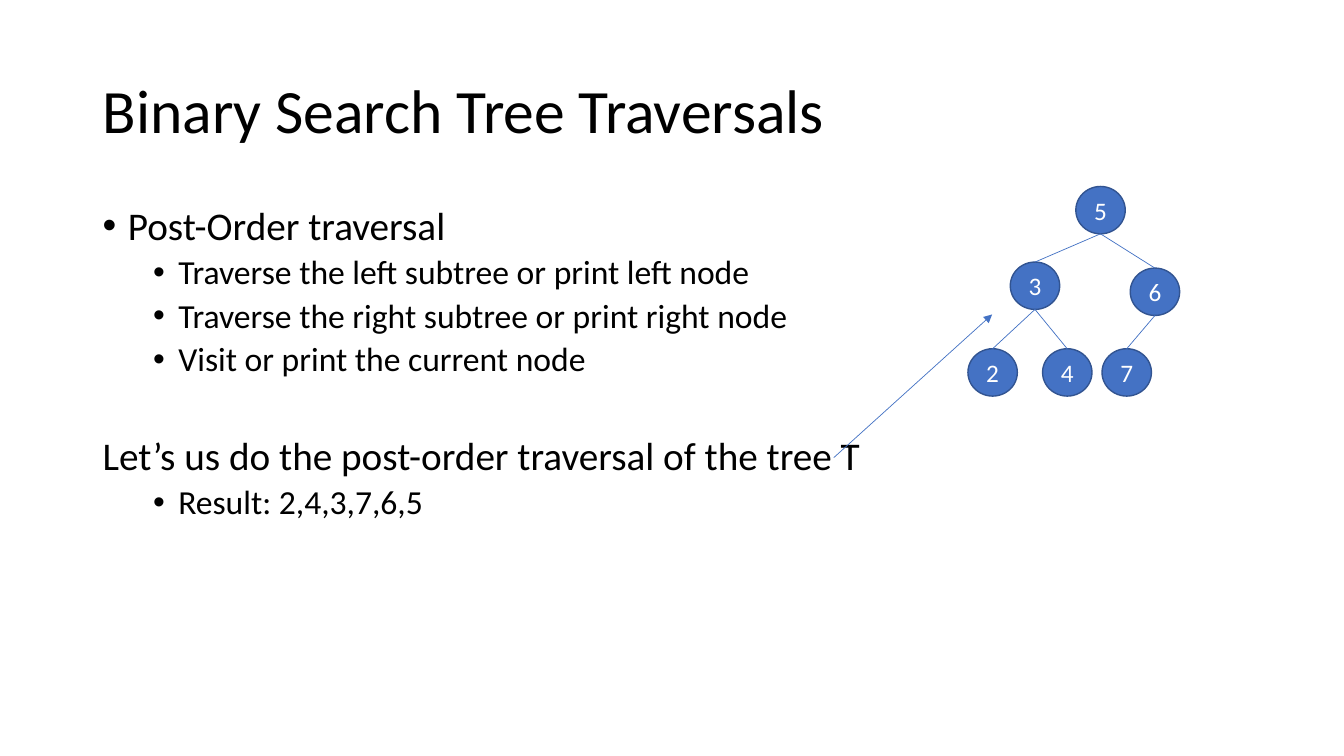
"""Build a slide on post-order traversal of a binary search tree."""
from dataclasses import dataclass
from typing import Optional

import lxml.etree
import pptx
import pptx.dml.color
import pptx.enum.shapes
import pptx.enum.text
import pptx.oxml.ns
import pptx.util

Inches = pptx.util.Inches
Pt = pptx.util.Pt
COLORS = {"text": "000000", "node": "4472C4", "outline": "325491", "label": "FFFFFF"}
FONT = "Calibri"
NODE_WIDTH, NODE_HEIGHT = 0.49, 0.47


@dataclass(frozen=True)
class TextLine:
    text: str
    size: float
    before: float = 0
    indent: float = 0
    bullet: bool = False


@dataclass(frozen=True)
class TreeNode:
    left: float
    top: float
    parent: Optional[int] = None


TITLE = [TextLine("Binary Search Tree Traversals", 44)]
BODY = [
    TextLine("Post-Order traversal", 28, 0, 0.25, True),
    TextLine("Traverse the left subtree or print left node", 24, 5, 0.75, True),
    TextLine("Traverse the right subtree or print right node", 24, 5, 0.75, True),
    TextLine("Visit or print the current node", 24, 5, 0.75, True),
    TextLine("Let’s us do the post-order traversal of the tree T", 28, 41.4),
    TextLine("Result: 2,4,3,7,6,5", 24, 5, 0.75, True),
]
TREE = {
    5: TreeNode(10.67, 1.85),
    3: TreeNode(10.02, 2.6, 5),
    6: TreeNode(11.21, 2.66, 5),
    2: TreeNode(9.6, 3.46, 3),
    4: TreeNode(10.34, 3.46, 3),
    7: TreeNode(10.93, 3.46, 6),
}


def rgb(name: str) -> pptx.dml.color.RGBColor:
    return pptx.dml.color.RGBColor.from_string(COLORS[name])


def add_run(paragraph, text: str, size: float, color: str) -> None:
    run = paragraph.add_run()
    run.text = text
    run.font.name = FONT
    run.font.size = Pt(size)
    run.font.color.rgb = rgb(color)


def add_text(slide, top: float, height: float, lines: list[TextLine], anchor) -> None:
    frame = slide.shapes.add_textbox(
        Inches(0.92), Inches(top), Inches(11.5), Inches(height)
    ).text_frame
    frame.word_wrap = True
    frame.vertical_anchor = anchor
    for index, line in enumerate(lines):
        paragraph = frame.add_paragraph() if index else frame.paragraphs[0]
        paragraph.line_spacing = 0.9
        if line.before:
            paragraph.space_before = Pt(line.before)
        if line.bullet:
            properties = paragraph._p.get_or_add_pPr()
            properties.set("marL", str(Inches(line.indent)))
            properties.set("indent", str(-Inches(0.25)))
            for tag, key, value in (("a:buFont", "typeface", "Arial"), ("a:buChar", "char", "•")):
                bullet = lxml.etree.SubElement(properties, pptx.oxml.ns.qn(tag))
                bullet.set(key, value)
        add_run(paragraph, line.text, line.size, "text")


def add_node(slide, key: int, node: TreeNode) -> None:
    circle = slide.shapes.add_shape(
        pptx.enum.shapes.MSO_SHAPE.OVAL,
        Inches(node.left), Inches(node.top), Inches(NODE_WIDTH), Inches(NODE_HEIGHT),
    )
    circle.shadow.inherit = False
    circle.fill.solid()
    circle.fill.fore_color.rgb = rgb("node")
    circle.line.color.rgb = rgb("outline")
    circle.line.width = Pt(1)
    frame = circle.text_frame
    frame.margin_left = frame.margin_right = 0
    frame.vertical_anchor = pptx.enum.text.MSO_ANCHOR.MIDDLE
    paragraph = frame.paragraphs[0]
    paragraph.alignment = pptx.enum.text.PP_ALIGN.CENTER
    add_run(paragraph, str(key), 18, "label")


def add_line(
    slide, start: tuple[float, float], end: tuple[float, float], arrow: bool = False
) -> None:
    connector = slide.shapes.add_connector(
        pptx.enum.shapes.MSO_CONNECTOR.STRAIGHT,
        *(Inches(value) for value in (*start, *end)),
    )
    connector.line.color.rgb = rgb("node")
    connector.line.width = Pt(0.5)
    if arrow:
        head = lxml.etree.SubElement(
            connector.line._get_or_add_ln(), pptx.oxml.ns.qn("a:tailEnd")
        )
        head.set("type", "triangle")
    lxml.etree.SubElement(connector._element.spPr, pptx.oxml.ns.qn("a:effectLst"))


def main() -> None:
    deck = pptx.Presentation()
    deck.slide_width, deck.slide_height = Inches(13.33), Inches(7.5)
    slide = deck.slides.add_slide(deck.slide_layouts[6])
    add_text(slide, 0.4, 1.45, TITLE, pptx.enum.text.MSO_ANCHOR.MIDDLE)
    add_text(slide, 2, 4.76, BODY, pptx.enum.text.MSO_ANCHOR.TOP)
    for key, node in TREE.items():
        add_node(slide, key, node)
        if node.parent is not None:
            parent = TREE[node.parent]
            add_line(
                slide,
                (parent.left + NODE_WIDTH / 2, parent.top + NODE_HEIGHT),
                (node.left + NODE_WIDTH / 2, node.top),
            )
    add_line(slide, (8.27, 4.54), (9.84, 3.12), arrow=True)
    deck.save("out.pptx")


if __name__ == "__main__":
    main()
